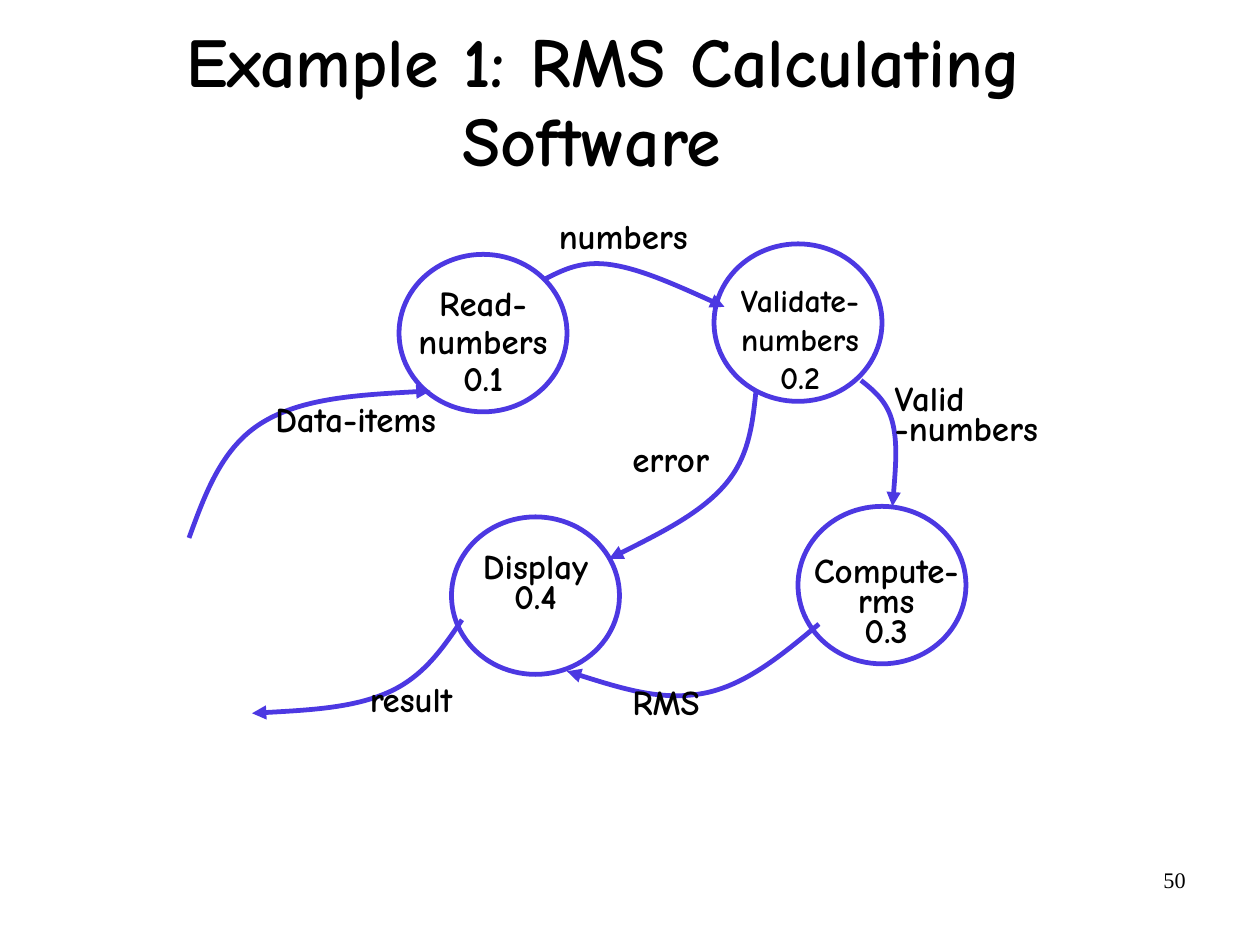
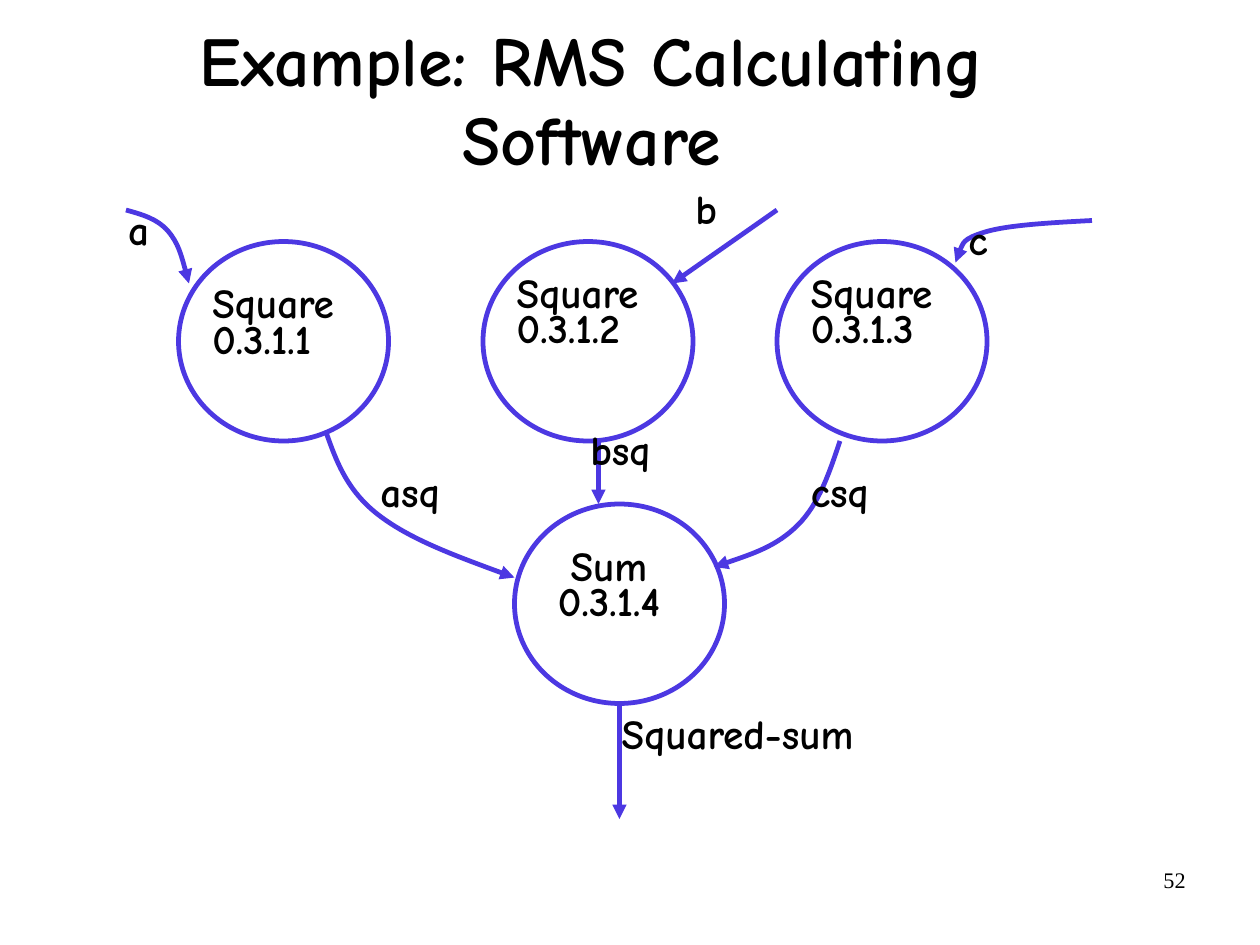
from dataclasses import dataclass

from lxml import etree
from pptx import Presentation
from pptx.dml.color import RGBColor
from pptx.enum.shapes import MSO_CONNECTOR, MSO_SHAPE
from pptx.enum.text import MSO_ANCHOR, PP_ALIGN
from pptx.oxml.ns import qn
from pptx.util import Cm, Pt

# Shared style
INK = RGBColor(0x00, 0x00, 0x00)
VIOLET = RGBColor(0x4C, 0x38, 0xE2)
COMIC = "Comic Neue"
SERIF = "Times New Roman"
STROKE = Pt(3)
TIGHT = 0.72

OVAL = MSO_SHAPE.OVAL
STRAIGHT = MSO_CONNECTOR.STRAIGHT
TOP, MIDDLE = MSO_ANCHOR.TOP, MSO_ANCHOR.MIDDLE
LEFT, CENTER, RIGHT = PP_ALIGN.LEFT, PP_ALIGN.CENTER, PP_ALIGN.RIGHT

SLIDE_WIDTH, SLIDE_HEIGHT = Cm(28), Cm(21)
UNIT = SLIDE_WIDTH / 120  # grid step of the diagrams


@dataclass
class Box:
    """Region of a diagram; its parts are given in grid units from its corner."""
    left: int
    top: int

    def point(self, x, y):
        return round(self.left + x * UNIT), round(self.top + y * UNIT)

    def frame(self, x, y, width, height):
        return (*self.point(x, y), round(width * UNIT), round(height * UNIT))


# Text
def add_text(page, frame, text, size, font=COMIC, bold=True, align=LEFT,
             anchor=TOP, spacing=1.0, before=0, insets=(0.05, 0.15)):
    box = page.shapes.add_textbox(*frame)
    body = box.text_frame
    body.word_wrap = True
    body.vertical_anchor = anchor
    body.margin_left = body.margin_right = Cm(insets[0])
    body.margin_top = body.margin_bottom = Cm(insets[1])
    para = body.paragraphs[0]
    para.alignment = align
    para.line_spacing = spacing
    para.space_before = Pt(before)
    for index, line in enumerate(text.split("\n")):
        if index:
            para.add_line_break()
        span = para.add_run()
        span.text = line
        span.font.name = font
        span.font.size = Pt(size)
        span.font.bold = bold
        span.font.color.rgb = INK


def add_page(deck, title, top, height, before, number):
    page = deck.slides.add_slide(deck.slide_layouts[6])
    add_text(page, (Cm(20.07), Cm(19.13), Cm(6.53), Cm(1.45)), number, 14,
             font=SERIF, bold=False, align=RIGHT, insets=(0.25, 0.13))
    add_text(page, (Cm(1.25), Cm(top), Cm(23.8), Cm(height)), title, 44,
             align=CENTER, anchor=MIDDLE, spacing=0.94, before=before)
    return page


# Circles and arrows
def add_circle(page, frame):
    circle = page.shapes.add_shape(OVAL, *frame)
    circle.shadow.inherit = False
    circle.fill.background()
    circle.line.color.rgb = VIOLET
    circle.line.width = STROKE


def add_arrowhead(arrow):
    arrow.line.color.rgb = VIOLET
    arrow.line.width = STROKE
    outline = arrow.line._get_or_add_ln()
    etree.SubElement(outline, qn("a:tailEnd"), type="triangle")


def add_straight_arrow(page, box, start, end):
    arrow = page.shapes.add_connector(
        STRAIGHT, *box.point(*start), *box.point(*end))
    add_arrowhead(arrow)
    etree.SubElement(arrow._element.spPr, qn("a:effectLst"))


def midpoint(first, second):
    return (first[0] + second[0]) / 2, (first[1] + second[1]) / 2


def add_curved_arrow(page, box, start, middle, end):
    """Smooth arrow through three points, parallel to its chord at the middle."""
    reach = (end[0] - start[0]) / 6, (end[1] - start[1]) / 6
    arriving = middle[0] - reach[0], middle[1] - reach[1]
    leaving = middle[0] + reach[0], middle[1] + reach[1]
    points = [midpoint(start, arriving), arriving, middle,
              leaving, midpoint(leaving, end), end]
    builder = page.shapes.build_freeform(*box.point(*start))
    builder.add_line_segments([box.point(*spot) for spot in points], close=False)
    arrow = builder.convert_to_shape()
    arrow.shadow.inherit = False
    arrow.fill.background()
    # Turn each three line segments into one cubic curve
    lines = list(arrow._element.iter(qn("a:lnTo")))
    outline = lines[0].getparent()
    for first in range(0, len(lines), 3):
        curve = etree.SubElement(outline, qn("a:cubicBezTo"))
        for line in lines[first:first + 3]:
            curve.append(line[0])
            outline.remove(line)
    add_arrowhead(arrow)


# Diagram of the four processes
def add_rms_diagram(page, box):
    for x, y in [(20, 4), (25, 29), (50, 3), (58, 28)]:
        add_circle(page, box.frame(x, y, 16, 15))

    for start, middle, end in [
        ((0, 31), (7, 20), (23, 17)),
        ((34, 6.3), (40.3, 5), (51, 9)),
        ((64, 16), (67, 20), (67, 28)),
        ((60, 39.2), (49, 45.8), (36, 43.7)),
        ((26, 38.8), (19, 45.7), (6, 47.7)),
        ((54, 17), (51, 26), (40, 33)),
    ]:
        add_curved_arrow(page, box, start, middle, end)

    for x, y, name, size, spacing in [
        (20, 6.4, "Read-numbers\n0.1", 22, 0.9),
        (50.2, 5.9, "Validate-numbers\n0.2", 20, 1.0),
        (58.4, 32.4, "Compute-rms\n0.3", 22, TIGHT),
        (25, 32, "Display\n0.4", 22, TIGHT),
    ]:
        add_text(page, box.frame(x, y, 16, 13), name, size, align=CENTER,
                 spacing=spacing, before=12.5 if spacing == TIGHT else 13)

    for x, y, flow in [
        (8, 18, "Data-items"), (17, 44.7, "result"), (42, 45, "RMS"),
        (35, 0.6, "numbers"), (67, 16, "Valid -numbers"), (42, 21.8, "error"),
    ]:
        add_text(page, box.frame(x, y, 16, 5), flow, 22,
                 spacing=TIGHT, before=12.5)


# Diagram of the squares and their sum
def add_sum_diagram(page, box):
    for x, y in [(5, 5), (34, 5), (62, 5), (37, 30)]:
        add_circle(page, box.frame(x, y, 20, 19))

    for start, middle, end in [
        ((0, 2), (4, 4), (6, 9)),
        ((92, 3), (81.8, 4.1), (79, 7)),
        ((19, 23), (24, 31), (37, 37)),
        ((68, 24), (64, 32), (56, 36)),
    ]:
        add_curved_arrow(page, box, start, middle, end)
    for start, end in [((62, 2), (52, 9)), ((45, 24), (45, 30)),
                       ((47, 49), (47, 60))]:
        add_straight_arrow(page, box, start, end)

    for x, y, width, text, align in [
        (8, 9, 16, "Square\n0.3.1.1", LEFT),
        (37, 8, 16, "Square\n0.3.1.2", LEFT),
        (65, 8, 16, "Square\n0.3.1.3", LEFT),
        (38, 34, 16, "Sum\n0.3.1.4", CENTER),
        (0, 2, 10, "a", LEFT),
        (54, 0, 10, "b", LEFT),
        (80, 3, 10, "c", LEFT),
        (24, 27, 10, "asq", LEFT),
        (44, 23, 10, "bsq", LEFT),
        (65, 27, 10, "csq", LEFT),
        (47, 50, 36, "Squared-sum", LEFT),
    ]:
        add_text(page, box.frame(x, y, width, 6), text, 26, align=align,
                 spacing=TIGHT, before=15)


def main():
    deck = Presentation()
    deck.slide_width, deck.slide_height = SLIDE_WIDTH, SLIDE_HEIGHT

    page = add_page(deck, " Example 1: RMS Calculating Software",
                    0.56, 3.48, 7.1, "50")
    add_rms_diagram(page, Box(Cm(4.2), Cm(4.72)))

    page = add_page(deck, "Example: RMS Calculating Software",
                    0.48, 3.6, 8.1, "52")
    add_sum_diagram(page, Box(Cm(2.8), Cm(4.2)))

    deck.save("out.pptx")


if __name__ == "__main__":
    main()
